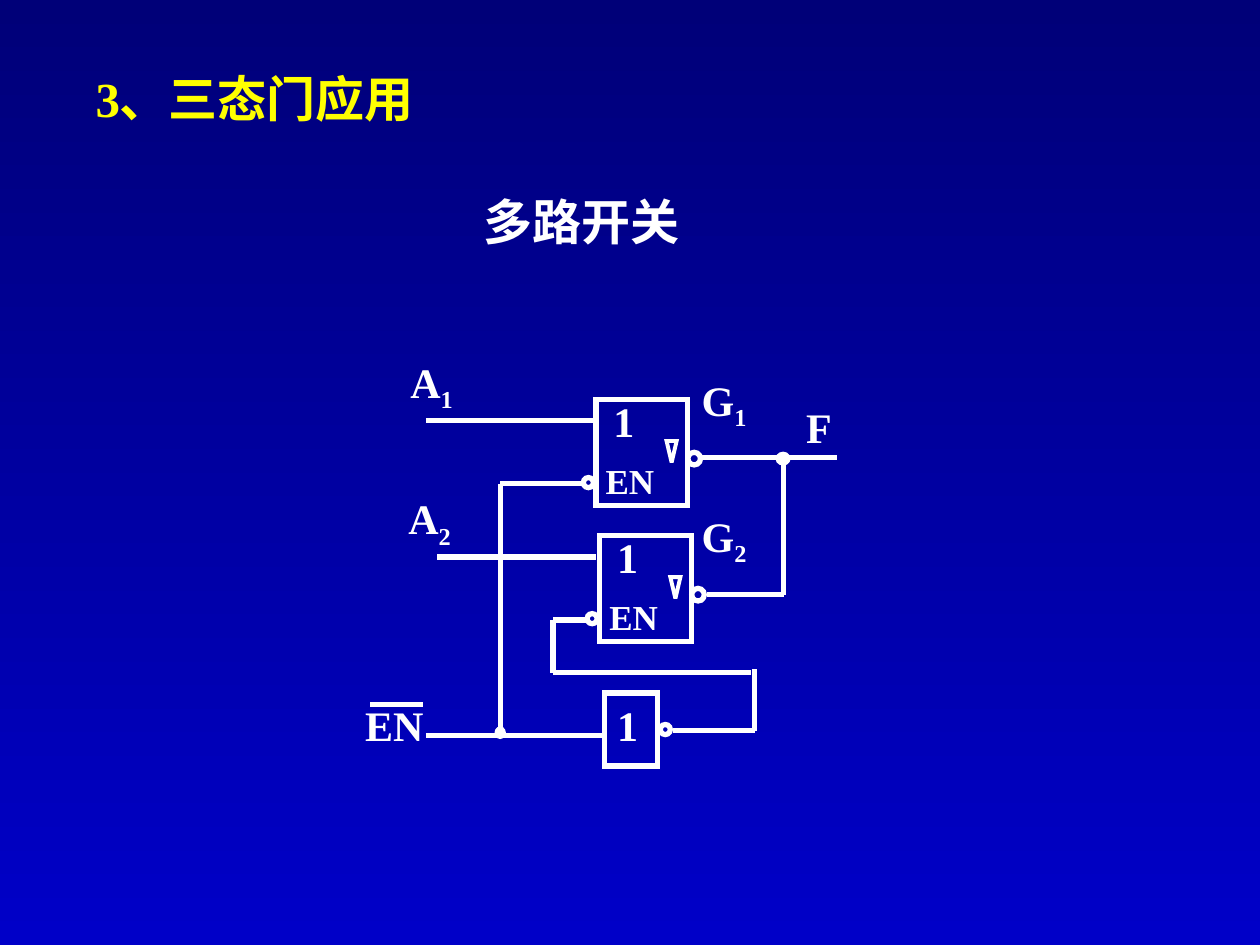
"""Build a slide showing a multiplexer made from two tri-state gates."""
from dataclasses import dataclass

from lxml.etree import SubElement
from pptx import Presentation
from pptx.dml.color import RGBColor
from pptx.enum.shapes import MSO_CONNECTOR, MSO_SHAPE
from pptx.enum.text import MSO_ANCHOR, MSO_AUTO_SIZE, PP_ALIGN
from pptx.oxml.ns import qn
from pptx.util import Inches, Pt


@dataclass(frozen=True)
class Theme:
    font: str = "Times New Roman"
    top: RGBColor = RGBColor(0x00, 0x00, 0x78)
    bottom: RGBColor = RGBColor(0x00, 0x00, 0xC8)
    title: RGBColor = RGBColor(0xFF, 0xFF, 0x00)
    ink: RGBColor = RGBColor(0xFF, 0xFF, 0xFF)
    heading: int = 28
    label: int = 24
    enable: int = 20
    wire: float = 3
    mark: float = 2.25
    dot: float = 0.75


T = Theme()
TITLE = ("3、三态门应用", (0.66, 0.52, 3.39, 0.51))
SUBTITLE = ("多路开关", (3.74, 1.47, 2.32, 0.57))
LABELS = [
    ("A", "1", (2.97, 2.78, 0.91, 0.5), PP_ALIGN.CENTER),
    ("A", "2", (3.14, 3.86, 0.54, 0.5), PP_ALIGN.CENTER),
    ("G", "1", (5.47, 2.92, 0.57, 0.56), PP_ALIGN.LEFT),
    ("G", "2", (5.47, 4, 0.57, 0.56), PP_ALIGN.LEFT),
    ("F", "", (6.3, 3.14, 0.4, 0.5), PP_ALIGN.CENTER),
    ("EN", "", (2.8, 5.5, 0.66, 0.5), PP_ALIGN.LEFT),
]
GATES = [(4.73, 3.17), (4.76, 4.25)]
INVERTER = (4.8, 5.5, 0.42, 0.58)
WIRES = {
    "EN bar": [(2.94, 5.59), (3.36, 5.59)],
    "A1 input": [(3.38, 3.34), (4.72, 3.34)],
    "A2 input": [(3.47, 4.42), (4.73, 4.42)],
    "EN input": [(3.38, 5.84), (4.8, 5.84)],
    "G1 enable": [(4.62, 3.84), (3.97, 3.84), (3.97, 5.84)],
    "G2 enable": [(4.65, 4.92), (4.39, 4.92), (4.39, 5.34), (5.96, 5.34)],
    "Inverter output": [(5.34, 5.8), (5.99, 5.8), (5.99, 5.31)],
    "G2 output": [(5.61, 4.72), (6.22, 4.72), (6.22, 3.61)],
    "F output": [(5.57, 3.63), (6.64, 3.63)],
}
JUNCTIONS = [(3.93, 5.77, 0.08, 0.09), (6.16, 3.59, 0.11, 0.1)]


def add_text(s, text, box, size=T.label, color=T.ink, sub="",
             align=PP_ALIGN.LEFT, anchor=MSO_ANCHOR.TOP, wrap=False):
    tf = s.shapes.add_textbox(*map(Inches, box)).text_frame
    tf.word_wrap = wrap
    tf.auto_size = MSO_AUTO_SIZE.NONE if wrap else MSO_AUTO_SIZE.SHAPE_TO_FIT_TEXT
    tf.vertical_anchor = anchor
    p = tf.paragraphs[0]
    p.text = text
    p.alignment = align
    if sub:
        r = p.add_run()
        r.text = sub
        r._r.get_or_add_rPr().set("baseline", "-25000")
    for r in p.runs:
        r.font.name, r.font.size, r.font.bold = T.font, Pt(size), True
        r.font.color.rgb = color


def add_outline(s, kind, box, width=T.wire, filled=False):
    sp = s.shapes.add_shape(kind, *map(Inches, box))
    sp.shadow.inherit = False
    if filled:
        sp.fill.solid()
        sp.fill.fore_color.rgb = T.ink
    else:
        sp.fill.background()
    sp.line.color.rgb = T.ink
    sp.line.width = Pt(width)
    SubElement(sp.line._get_or_add_ln(), qn("a:miter"), lim="800000")
    return sp


def add_wire(s, points):
    for start, end in zip(points, points[1:]):
        c = s.shapes.add_connector(MSO_CONNECTOR.STRAIGHT, *map(Inches, start + end))
        c.line.color.rgb = T.ink
        c.line.width = Pt(T.wire)
        SubElement(c._element.spPr, qn("a:effectLst"))


def add_gate(s, x, y):
    add_outline(s, MSO_SHAPE.RECTANGLE, (x, y, 0.73, 0.84))
    add_outline(s, MSO_SHAPE.OVAL, (x + 0.73, y + 0.42, 0.1, 0.1))
    add_outline(s, MSO_SHAPE.OVAL, (x - 0.1, y + 0.62, 0.08, 0.08))
    mark = add_outline(s, MSO_SHAPE.ISOSCELES_TRIANGLE,
                       (x + 0.56, y + 0.33, 0.08, 0.17), T.mark)
    mark.rotation = 180
    for text, box, size in [("1", (x + 0.04, y - 0.08, 0.36, 0.5), T.label),
                            ("EN", (x - 0.05, y + 0.42, 0.64, 0.44), T.enable)]:
        add_text(s, text, box, size, align=PP_ALIGN.CENTER, anchor=MSO_ANCHOR.MIDDLE)


def main():
    prs = Presentation()
    prs.slide_width, prs.slide_height = Inches(10), Inches(7.5)
    s = prs.slides.add_slide(prs.slide_layouts[6])
    fill = s.background.fill
    fill.gradient()
    fill.gradient_angle = 270
    for stop, color in zip(fill.gradient_stops, (T.top, T.bottom)):
        stop.color.rgb = color

    add_text(s, *TITLE, T.heading, T.title, anchor=MSO_ANCHOR.MIDDLE, wrap=True)
    add_text(s, *SUBTITLE, T.heading, wrap=True)
    for text, sub, box, align in LABELS:
        add_text(s, text, box, sub=sub, align=align)
    for x, y in GATES:
        add_gate(s, x, y)
    add_outline(s, MSO_SHAPE.RECTANGLE, INVERTER)
    add_outline(s, MSO_SHAPE.OVAL, (5.24, 5.75, 0.08, 0.08))
    add_text(s, "1", (*INVERTER[:2], 0.36, 0.5))
    for points in WIRES.values():
        add_wire(s, points)
    for box in JUNCTIONS:
        add_outline(s, MSO_SHAPE.OVAL, box, T.dot, filled=True)
    prs.save("out.pptx")


if __name__ == "__main__":
    main()
